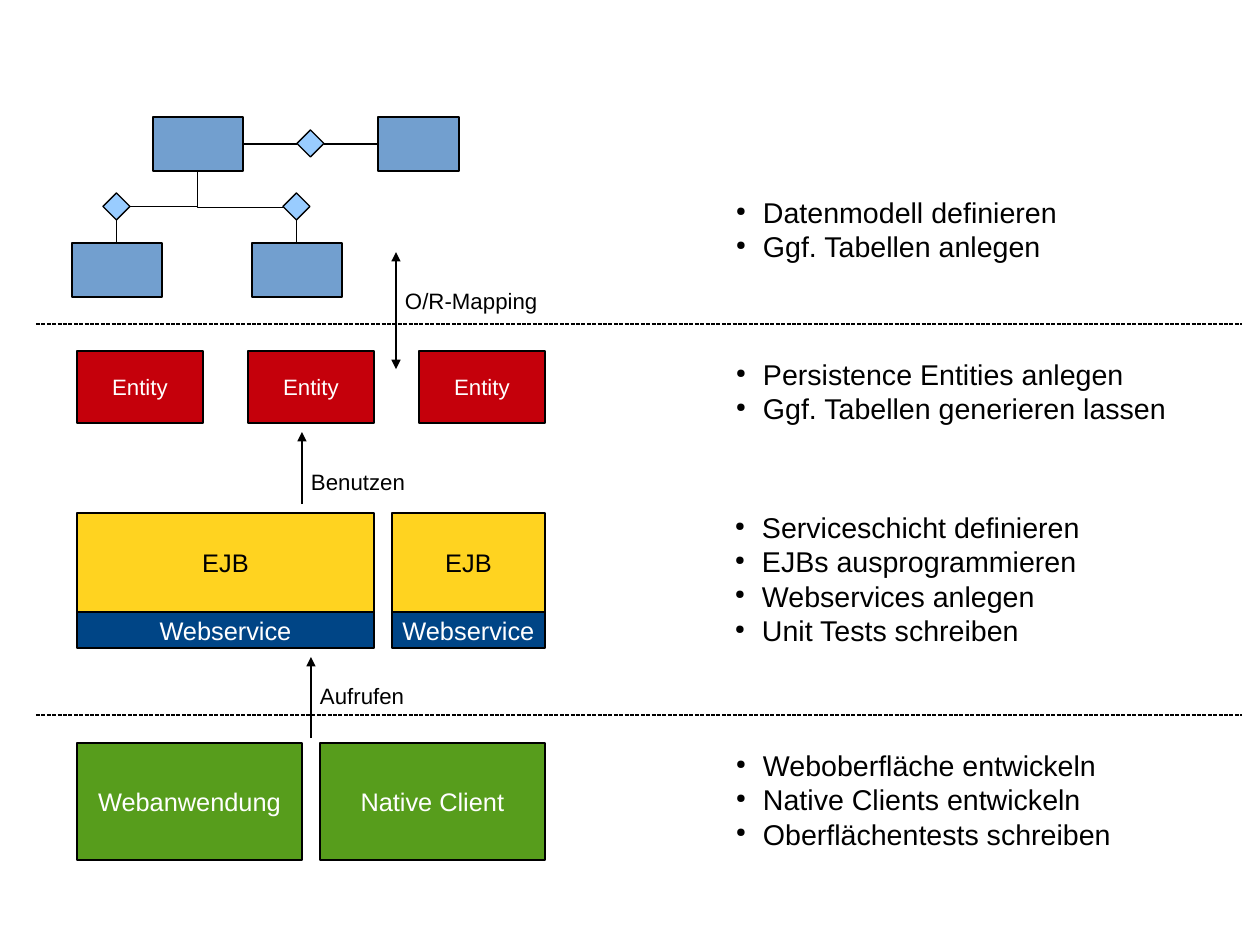
"""Build the slide showing the layers of an enterprise Java application and their tasks."""
from lxml.etree import SubElement
from pptx import Presentation
from pptx.dml.color import RGBColor
from pptx.enum.dml import MSO_LINE
from pptx.enum.shapes import MSO_CONNECTOR as CONNECTOR, MSO_SHAPE as SHAPE
from pptx.enum.text import MSO_ANCHOR as ANCHOR, PP_ALIGN as ALIGN
from pptx.oxml.ns import qn
from pptx.util import Pt

PX = 8000
LINE_WIDTH = Pt(0.85)
COLORS = {
    "black": "000000", "white": "FFFFFF", "table": "729FCF", "relation": "99CCFF",
    "entity": "C5000B", "ejb": "FFD320", "webservice": "004586", "client": "579D1C",
}
RGB = {name: RGBColor.from_string(value) for name, value in COLORS.items()}

presentation = Presentation()
presentation.slide_width, presentation.slide_height = 1260 * PX, 945 * PX
slide = presentation.slides.add_slide(presentation.slide_layouts[6])


def add_box(kind, left, top, width, height, fill, text="", size=16, color="white"):
    shape = slide.shapes.add_shape(kind, left * PX, top * PX, width * PX, height * PX)
    shape.shadow.inherit = False
    shape.fill.solid()
    shape.fill.fore_color.rgb = RGB[fill]
    shape.line.color.rgb = RGB["black"]
    shape.line.width = LINE_WIDTH
    if text:
        frame = shape.text_frame
        frame.word_wrap = False
        frame.vertical_anchor = ANCHOR.MIDDLE
        frame.margin_left = frame.margin_right = 11 * PX
        frame.margin_top = frame.margin_bottom = 7 * PX
        paragraph = frame.paragraphs[0]
        paragraph.text = text
        paragraph.alignment = ALIGN.CENTER
        paragraph.font.name, paragraph.font.size = "Arial", Pt(size)
        paragraph.font.color.rgb = RGB[color]


def add_line(x1, y1, x2, y2, kind=CONNECTOR.STRAIGHT, arrows=()):
    connector = slide.shapes.add_connector(kind, x1 * PX, y1 * PX, x2 * PX, y2 * PX)
    connector.line.color.rgb = RGB["black"]
    connector.line.width = LINE_WIDTH
    properties = connector.element.spPr
    for end in arrows:
        SubElement(properties.find(qn("a:ln")), qn(f"a:{end}"), type="triangle")
    SubElement(properties, qn("a:effectLst"))
    return connector


task_lists = [
    (725, 189, ["Datenmodell definieren", "Ggf. Tabellen anlegen"]),
    (725, 351, ["Persistence Entities anlegen", "Ggf. Tabellen generieren lassen"]),
    (724, 504, ["Serviceschicht definieren", "EJBs ausprogrammieren",
                "Webservices anlegen", "Unit Tests schreiben"]),
    (725, 742, ["Weboberfläche entwickeln", "Native Clients entwickeln",
                "Oberflächentests schreiben"]),
]
for left, top, tasks in task_lists:
    height = 8 + 34 * len(tasks)
    frame = slide.shapes.add_textbox(left * PX, top * PX, 480 * PX, height * PX).text_frame
    frame.word_wrap = True
    frame.margin_left = frame.margin_right = 11 * PX
    frame.margin_top = frame.margin_bottom = 6 * PX
    for index, task in enumerate(tasks):
        paragraph = frame.add_paragraph() if index else frame.paragraphs[0]
        paragraph.text = task
        bullet = paragraph._p.get_or_add_pPr()
        bullet.set("marL", str(27 * PX))
        bullet.set("indent", str(-27 * PX))
        bullet_color = SubElement(bullet, qn("a:buClr"))
        SubElement(bullet_color, qn("a:srgbClr"), val=COLORS["black"])
        SubElement(bullet, qn("a:buSzPct"), val="45000")
        SubElement(bullet, qn("a:buChar"), char="●")
        paragraph.font.name, paragraph.font.size = "Arial", Pt(18)
        paragraph.font.color.rgb = RGB["black"]

for left, top, width in [(153, 117, 90), (378, 117, 81), (72, 243, 90), (252, 243, 90)]:
    add_box(SHAPE.RECTANGLE, left, top, width, 54, "table")
add_line(243, 144, 297, 144)
add_line(324, 144, 378, 144)
for start_x, start_y, end_x, end_y, degrees in [(193, 247, 121, 166, 90),
                                                (211, 257, 283, 158, 270)]:
    elbow = add_line(start_x, start_y, end_x, end_y, CONNECTOR.ELBOW)
    elbow.element.spPr.find(qn("a:xfrm")).set("rot", str(degrees * 60000))
for left, top in [(297, 130), (103, 193), (283, 193)]:
    add_box(SHAPE.DIAMOND, left, top, 27, 27, "relation")

for divider_y in (324, 715):
    add_line(36, divider_y, 1242, divider_y).line.dash_style = MSO_LINE.SQUARE_DOT

for column in range(3):
    add_box(SHAPE.RECTANGLE, 77 + 171 * column, 351, 126, 72, "entity", "Entity", 14)
for left, width in [(77, 297), (392, 153)]:
    add_box(SHAPE.RECTANGLE, left, 513, width, 99, "ejb", "EJB", color="black")
    add_box(SHAPE.RECTANGLE, left, 612, width, 36, "webservice", "Webservice")
for left, client in [(77, "Webanwendung"), (320, "Native Client")]:
    add_box(SHAPE.RECTANGLE, left, 743, 225, 117, "client", client)

add_line(396, 369, 396, 252, arrows=("headEnd", "tailEnd"))
add_line(302, 504, 302, 432, arrows=("tailEnd",))
add_line(311, 738, 311, 657, arrows=("tailEnd",))

for left, top, width, label in [(405, 287, 144, "O/R-Mapping"), (311, 468, 108, "Benutzen"),
                                (320, 682, 95, "Aufrufen")]:
    frame = slide.shapes.add_textbox(left * PX, top * PX, width * PX, 28 * PX).text_frame
    frame.word_wrap = True
    frame.margin_left = frame.margin_right = frame.margin_top = frame.margin_bottom = 0
    paragraph = frame.paragraphs[0]
    paragraph.text = label
    paragraph.font.name, paragraph.font.size = "Arial", Pt(14)
    paragraph.font.color.rgb = RGB["black"]

presentation.save("out.pptx")
